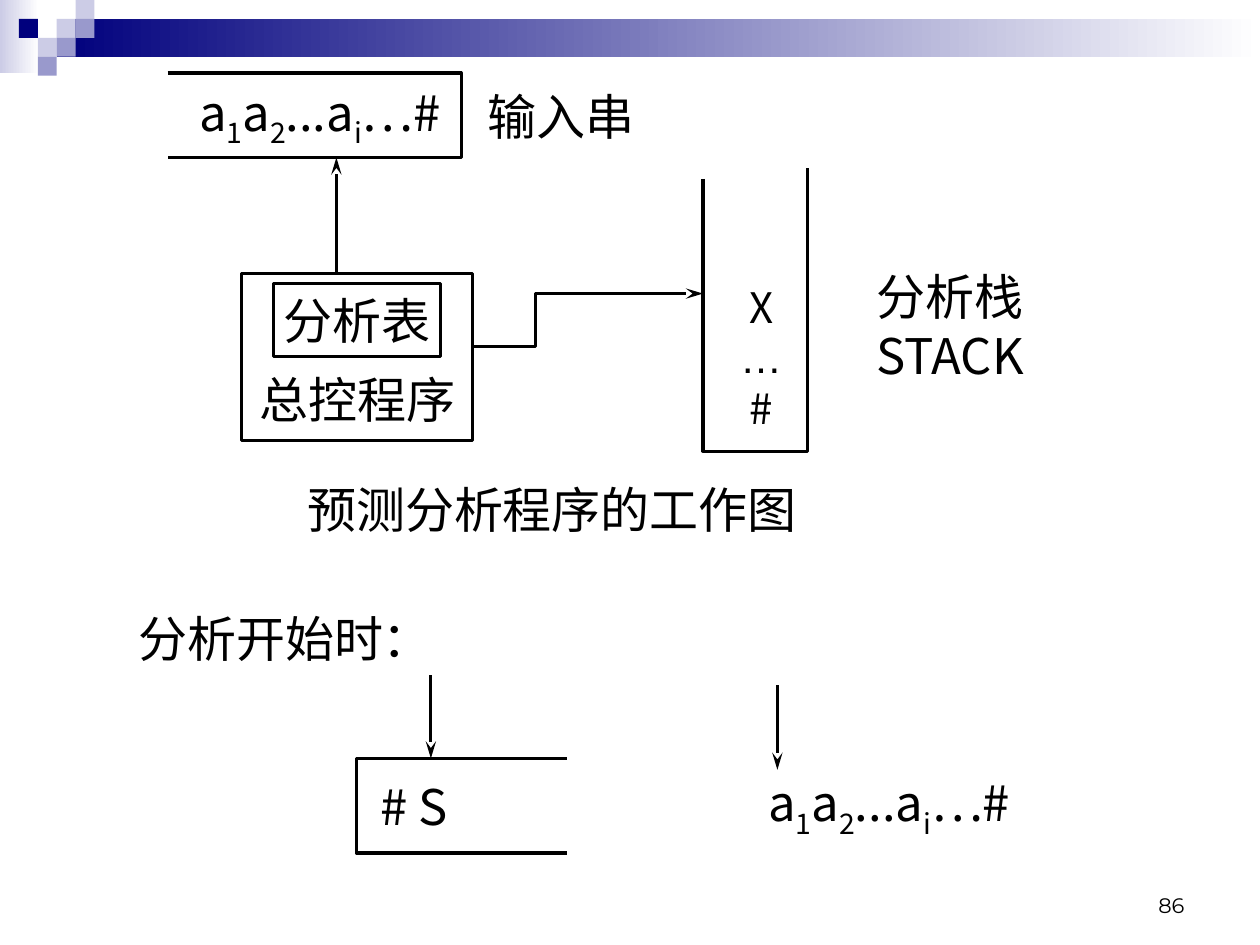
from lxml import etree
from pptx import Presentation
from pptx.dml.color import RGBColor
from pptx.enum.shapes import MSO_CONNECTOR, MSO_SHAPE
from pptx.enum.text import MSO_ANCHOR, PP_ALIGN
from pptx.oxml.ns import qn
from pptx.util import Inches, Pt

BLACK = RGBColor(0, 0, 0)
WHITE = RGBColor(255, 255, 255)
NAVY = RGBColor(0x00, 0x00, 0x7D)
LILAC = RGBColor(0xCC, 0xCC, 0xE6)
VIOLET = RGBColor(0x99, 0x99, 0xCC)
RECTANGLE = MSO_SHAPE.RECTANGLE
STRAIGHT = MSO_CONNECTOR.STRAIGHT
LEFT, CENTER, RIGHT = PP_ALIGN.LEFT, PP_ALIGN.CENTER, PP_ALIGN.RIGHT
TOP, MIDDLE, BOTTOM = MSO_ANCHOR.TOP, MSO_ANCHOR.MIDDLE, MSO_ANCHOR.BOTTOM
CJK_FONT = "Noto Sans CJK SC"
LINE_WIDTH = Pt(1.75)
INPUT_STRING = [("a", False), ("1", True), ("a", False), ("2", True),
                ("...a", False), ("i", True), ("…#", False)]


def set_line(shape, arrow=False):
    shape.line.color.rgb = BLACK
    shape.line.width = LINE_WIDTH
    if arrow:
        line = shape.line._get_or_add_ln()
        etree.SubElement(line, qn("a:tailEnd"), type="stealth", w="med", len="lg")


def write(shape, lines, size=28, align=CENTER, anchor=MIDDLE, font=CJK_FONT):
    """Fill a shape with lines; each is a string or a list of (text, is_subscript)."""
    frame = shape.text_frame
    frame.word_wrap = False
    frame.vertical_anchor = anchor
    if align == CENTER:
        frame.margin_left = frame.margin_right = 0
    for index, line in enumerate(lines):
        para = frame.add_paragraph() if index else frame.paragraphs[0]
        para.alignment = align
        para.font.size = Pt(size)
        para.font.name = font
        para.font.color.rgb = BLACK
        spans = [(line, False)] if isinstance(line, str) else line
        for text, is_subscript in spans:
            span = para.add_run()
            span.text = text
            properties = span._r.get_or_add_rPr()
            east_asian = etree.SubElement(properties, qn("a:ea"))
            east_asian.set("typeface", "Arial" if text == "…" else font)
            if text == "…":
                span.font.name = "Arial"
            if is_subscript:
                properties.set("baseline", "-25000")


def add_label(page, left, top, width, height, lines, **style):
    label = page.shapes.add_textbox(Inches(left), Inches(top), Inches(width), Inches(height))
    write(label, lines, **style)


def add_rectangle(page, left, top, width, height):
    rectangle = page.shapes.add_shape(
        RECTANGLE, Inches(left), Inches(top), Inches(width), Inches(height))
    rectangle.shadow.inherit = False
    return rectangle


def add_frame(page, left, top, width, height, text, anchor=MIDDLE):
    frame = add_rectangle(page, left, top, width, height)
    frame.fill.background()
    set_line(frame)
    write(frame, [text], anchor=anchor)
    return frame


def add_open_path(page, points, arrow=False):
    start, *rest = [(Inches(x), Inches(y)) for x, y in points]
    builder = page.shapes.build_freeform(*start)
    builder.add_line_segments(rest, close=False)
    path = builder.convert_to_shape()
    path.shadow.inherit = False
    path.fill.background()
    set_line(path, arrow)


def add_arrow(page, x, start, end):
    arrow = page.shapes.add_connector(
        STRAIGHT, Inches(x), Inches(start), Inches(x), Inches(end))
    set_line(arrow, arrow=True)
    etree.SubElement(arrow._element.spPr, qn("a:effectLst"))


def add_banner(page, left, top):
    for x, y, width, height, color in [(0, 0, 0.31, 0.58, LILAC), (0.45, 0.15, 9.55, 0.3, NAVY)]:
        band = add_rectangle(page, left + x, top + y, width, height)
        band.line.fill.background()
        band.fill.gradient()
        band.fill.gradient_angle = 0
        for stop, stop_color in zip(band.fill.gradient_stops, (color, WHITE)):
            stop.color.rgb = stop_color
    side = 0.15
    for column, row, color in [(3, 1, LILAC), (4, 0, LILAC), (4, 1, VIOLET), (2, 2, LILAC),
                               (1, 1, NAVY), (3, 2, VIOLET), (2, 3, VIOLET)]:
        tile = add_rectangle(page, left + column * side, top + row * side, side, side)
        tile.line.fill.background()
        tile.fill.solid()
        tile.fill.fore_color.rgb = color


def add_input_tape(page, left, top, width, height):
    right, bottom = left + width, top + height
    add_label(page, left + 0.17, top + 0.09, 2.08, 0.5, [INPUT_STRING])
    add_open_path(page, [(left, top), (right, top), (right, bottom), (left, bottom)])
    add_label(page, right - 0.25, top + 0.09, 2.08, 0.5, ["输入串"])


def add_control_program(page, left, top, width, height):
    program = add_frame(page, left, top, width, height, "总控程序", anchor=BOTTOM)
    program.text_frame.margin_bottom = Inches(0.1)
    add_frame(page, left + 0.25, top + 0.08, width - 0.5, 0.58, "分析表")


def add_stack(page, left, top, width, height):
    right, bottom = left + width, top + height
    add_open_path(page, [(left, top + 0.09), (left, bottom), (right, bottom), (right, top)])
    add_label(page, left + 0.17, top + 0.84, 0.58, 1.33, ["X", "…", "#"], size=24)
    add_label(page, right + 0.09, top + 1, 2.08, 0.5, ["分析栈", "STACK"])


def add_start_state(page, left, top):
    """Show the stack and the input string as parsing begins."""
    add_label(page, left, top, 2.53, 0.57, ["分析开始时："], align=LEFT, anchor=TOP)
    stack_left, stack_right = left + 1.83, left + 3.5
    stack_top, stack_bottom = top + 1.24, top + 1.99
    add_open_path(page, [(stack_right, stack_top), (stack_left, stack_top),
                         (stack_left, stack_bottom), (stack_right, stack_bottom)])
    for x, width, line in [(1.92, 1.42, "# S"), (5, 2.2, INPUT_STRING)]:
        add_label(page, left + x, top + 1.33, width, 0.58, [line], align=LEFT)
    add_arrow(page, left + 2.42, top + 0.58, stack_top)
    add_arrow(page, left + 5.17, top + 0.66, top + 1.33)


def main():
    deck = Presentation()
    deck.slide_width, deck.slide_height = Inches(10), Inches(7.5)
    page = deck.slides.add_slide(deck.slide_layouts[6])
    add_banner(page, 0, 0)
    add_label(page, 7.17, 6.83, 2.33, 0.5, ["86"], size=12, align=RIGHT,
              anchor=BOTTOM, font="Montserrat")
    add_control_program(page, 1.92, 2.17, 1.83, 1.33)
    add_stack(page, 5.58, 1.33, 0.83, 2.25)
    add_input_tape(page, 1.33, 0.58, 2.33, 0.67)
    add_arrow(page, 2.67, 2.17, 1.25)
    add_open_path(page, [(3.75, 2.75), (4.25, 2.75), (4.25, 2.33), (5.58, 2.33)], arrow=True)
    add_label(page, 2.42, 3.75, 3.92, 0.58, ["预测分析程序的工作图"])
    add_start_state(page, 1, 4.78)
    deck.save("out.pptx")


if __name__ == "__main__":
    main()
